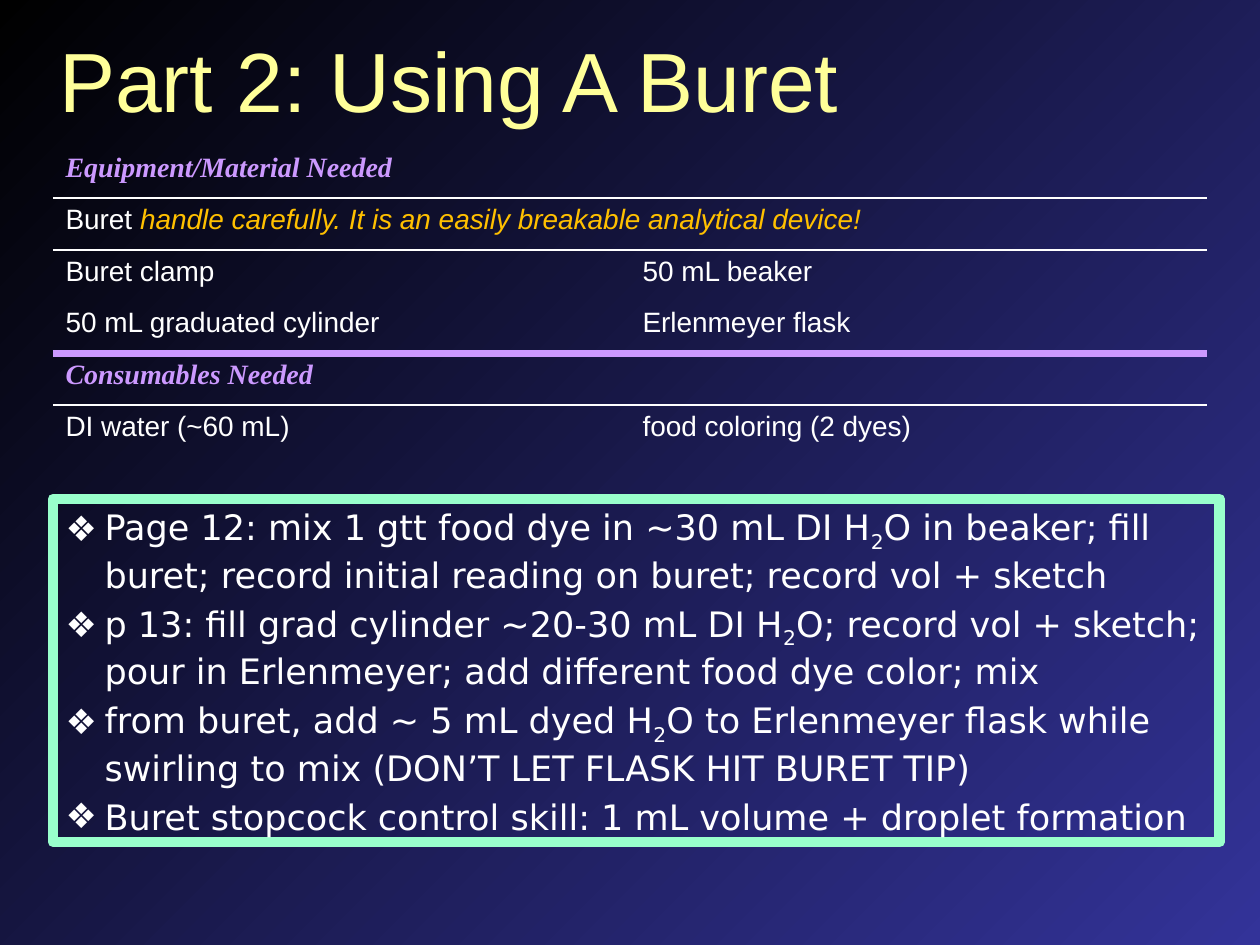
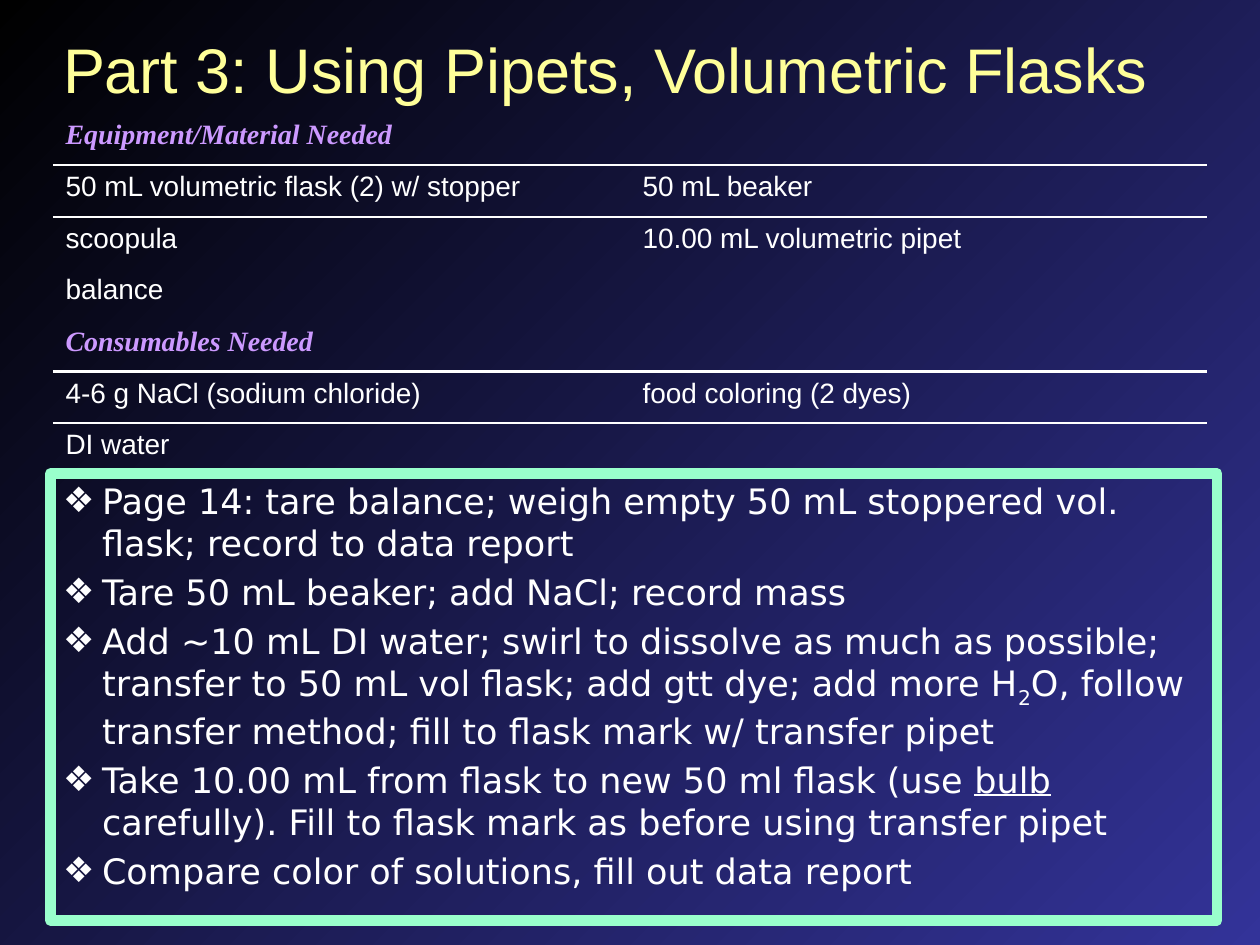
from pptx import Presentation
from pptx.dml.color import RGBColor
from pptx.enum.text import MSO_ANCHOR, MSO_AUTO_SIZE, PP_ALIGN
from pptx.oxml.ns import qn
from pptx.util import Inches, Pt
from lxml.etree import SubElement

WIDE, HIGH = Inches(10), Inches(7.5)
COLORS = {
    "black": "000000",
    "blue": "333399",
    "title": "FFFF99",
    "head": "CC99FF",
    "text": "FFFFFF",
    "warn": "FFC000",
    "frame": "99FFCC",
}
ROW = 0.41 / 7.5
LEFT, SPAN = 0.042, 0.916
SUB = ("2", {"base": -25})


def color(name):
    return RGBColor.from_string(COLORS[name])


def place(shape, left, top, width, height):
    shape.left, shape.top = round(left * WIDE), round(top * HIGH)
    shape.width, shape.height = round(width * WIDE), round(height * HIGH)


def write(para, text, size=16, face="Arial", tint="text", bold=False,
          slant=False, under=False, base=0):
    run = para.add_run()
    run.text = text
    font = run.font
    font.size, font.name = Pt(size), face
    font.bold, font.italic, font.underline = bold, slant, under
    font.color.rgb = color(tint)
    if base:
        run._r.get_or_add_rPr().set("baseline", str(base * 1000))


def write_parts(para, parts, **style):
    for part in [parts] if isinstance(parts, str) else parts:
        text, extra = (part, {}) if isinstance(part, str) else part
        write(para, text, **{**style, **extra})


def add_title(slide, text, size, box):
    shape = slide.shapes.title
    place(shape, *box)
    frame = shape.text_frame
    frame.word_wrap = True
    frame.auto_size = MSO_AUTO_SIZE.NONE
    frame.vertical_anchor = MSO_ANCHOR.MIDDLE
    para = frame.paragraphs[0]
    para.alignment = PP_ALIGN.LEFT
    write(para, text, size=size, tint="title")


def add_bullet(para):
    props = para._p.get_or_add_pPr()
    props.set("marL", str(Inches(0.31)))
    props.set("indent", str(-Inches(0.31)))
    SubElement(props, qn("a:buFont"), typeface="DejaVu Sans")
    SubElement(props, qn("a:buChar"), char="❖")


def add_steps(slide, steps, box):
    shape = slide.placeholders[1]
    place(shape, *box)
    shape.line.color.rgb = color("frame")
    shape.line.width = Pt(6)
    frame = shape.text_frame
    frame.word_wrap = True
    frame.auto_size = MSO_AUTO_SIZE.NONE
    for index, step in enumerate(steps):
        para = frame.add_paragraph() if index else frame.paragraphs[0]
        add_bullet(para)
        para.space_before = Pt(4 if index else 0)
        write_parts(para, step, size=20, face="DejaVu Sans")


def add_edge(cell, side, rule):
    props = cell._tc.get_or_add_tcPr()
    tint, width = rule or (None, 0)
    line = SubElement(props, qn(f"a:{side}"), w=str(Pt(width)))
    if rule:
        fill = SubElement(line, qn("a:solidFill"))
        SubElement(fill, qn("a:srgbClr"), val=COLORS[tint])
    else:
        SubElement(line, qn("a:noFill"))


def add_list(slide, rows, top, rules):
    shape = slide.shapes.add_table(len(rows), 2, 0, 0, WIDE, HIGH)
    place(shape, LEFT, top, SPAN, ROW * len(rows))
    table = shape.table
    table.first_row = table.horz_banding = False
    for column in table.columns:
        column.width = round(WIDE * SPAN / 2)
    for index, items in enumerate(rows):
        table.rows[index].height = round(HIGH * ROW)
        edges = {"lnL": None, "lnR": None,
                 "lnT": rules.get(index - 1), "lnB": rules.get(index)}
        for spot in range(2):
            cell = table.cell(index, spot)
            for side, rule in edges.items():
                add_edge(cell, side, rule)
            cell.fill.background()
        if len(items) == 1:
            table.cell(index, 0).merge(table.cell(index, 1))
        for spot, item in enumerate(items):
            if item:
                write_parts(table.cell(index, spot).text_frame.paragraphs[0], item)


def head(text):
    style = {"face": "Times New Roman", "tint": "head", "bold": True, "slant": True}
    return [[(text, style)]]


def add_buret(slide):
    add_title(slide, "Part 2: Using A Buret", 48, (0.037, 0.023, 0.921, 0.121))
    thin = ("text", 1.5)
    add_list(slide, [
        head("Equipment/Material Needed"),
        [["Buret ", ("handle carefully. It is an easily breakable analytical device!",
                     {"tint": "warn", "slant": True})]],
        ["Buret clamp", "50 mL beaker"],
        ["50 mL graduated cylinder", "Erlenmeyer flask"],
        head("Consumables Needed"),
        ["DI water (~60 mL)", "food coloring (2 dyes)"],
    ], 0.155, {0: thin, 1: thin, 3: ("head", 4.5), 4: thin})
    add_steps(slide, [
        ["Page 12: mix 1 gtt food dye in ~30 mL DI H", SUB,
         "O in beaker; fill buret; record initial reading on buret; record vol + sketch"],
        ["p 13: fill grad cylinder ~20-30 mL DI H", SUB,
         "O; record vol + sketch; pour in Erlenmeyer; add different food dye color; mix"],
        ["from buret, add ~ 5 mL dyed H", SUB,
         "O to Erlenmeyer flask while swirling to mix (DON’T LET FLASK HIT BURET TIP)"],
        "Buret stopcock control skill: 1 mL volume + droplet formation",
    ], (0.042, 0.528, 0.926, 0.363))


def add_pipets(slide):
    add_title(slide, "Part 3: Using Pipets, Volumetric Flasks", 36,
              (0.04, 0.025, 0.921, 0.095))
    add_list(slide, [
        head("Equipment/Material Needed"),
        ["50 mL volumetric flask (2) w/ stopper", "50 mL beaker"],
        ["scoopula", "10.00 mL volumetric pipet"],
        ["balance", ""],
        head("Consumables Needed"),
        ["4-6 g NaCl (sodium chloride)", "food coloring (2 dyes)"],
        ["DI water", ""],
    ], 0.12, dict.fromkeys((0, 1, 4, 5), ("text", 1.5)))
    add_steps(slide, [
        "Page 14: tare balance; weigh empty 50 mL stoppered vol. flask; "
        "record to data report",
        "Tare 50 mL beaker; add NaCl; record mass",
        ["Add ~10 mL DI water; swirl to dissolve as much as possible; "
         "transfer to 50 mL vol flask; add gtt dye; add more H", SUB,
         "O, follow transfer method; fill to flask mark w/ transfer pipet"],
        ["Take 10.00 mL from flask to new 50 ml flask (use ",
         ("bulb", {"under": True}),
         " carefully). Fill to flask mark as before using transfer pipet"],
        "Compare color of solutions, fill out data report",
    ], (0.04, 0.501, 0.926, 0.473))


def paint(master):
    fill = master.background.fill
    fill.gradient()
    fill.gradient_angle = 315
    for stop, name, spot in zip(fill.gradient_stops, ("black", "blue"), (0, 1)):
        stop.color.rgb = color(name)
        stop.position = spot


def main():
    deck = Presentation()
    deck.slide_width, deck.slide_height = WIDE, HIGH
    paint(deck.slide_master)
    for build in (add_buret, add_pipets):
        build(deck.slides.add_slide(deck.slide_layouts[1]))
    deck.save("out.pptx")


if __name__ == "__main__":
    main()
